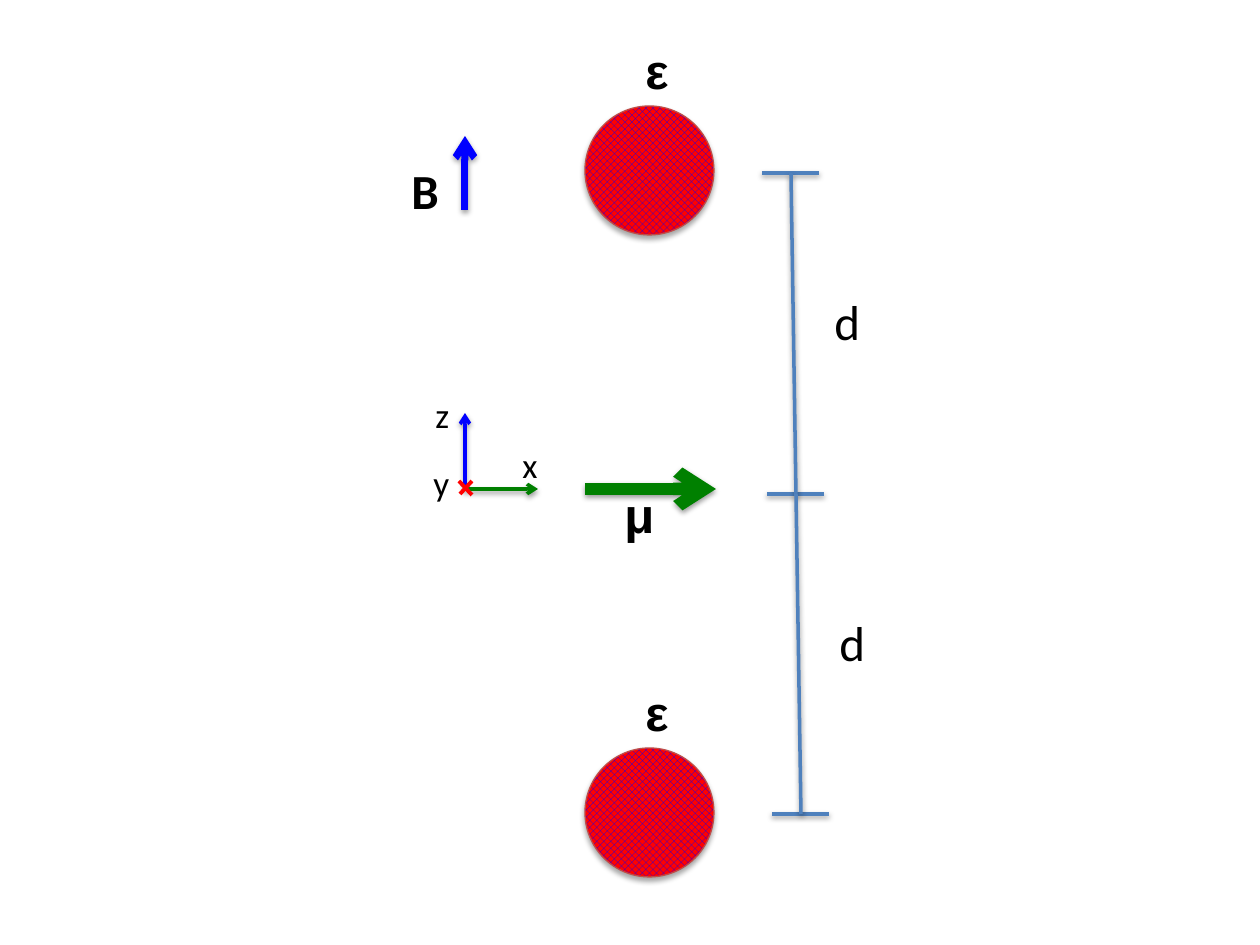
from dataclasses import dataclass
from itertools import pairwise

from lxml.etree import SubElement
from pptx import Presentation
from pptx.dml.color import RGBColor
from pptx.enum.dml import MSO_PATTERN
from pptx.enum.shapes import MSO_CONNECTOR, MSO_SHAPE
from pptx.enum.text import MSO_AUTO_SIZE
from pptx.oxml.ns import qn
from pptx.util import Emu, Pt

EMU_PER_PX = 914400 / 126


@dataclass(frozen=True)
class Theme:
    black: RGBColor = RGBColor(0x00, 0x00, 0x00)
    red: RGBColor = RGBColor(0xFF, 0x00, 0x00)
    green: RGBColor = RGBColor(0x00, 0x80, 0x00)
    blue: RGBColor = RGBColor(0x00, 0x00, 0xFF)
    steel: RGBColor = RGBColor(0x4F, 0x81, 0xBD)
    rim: RGBColor = RGBColor(0xBF, 0x4C, 0x48)
    latin: str = "Calibri"
    greek: str = "Arial"
    symbol_size: int = 28
    axis_size: int = 20


THEME = Theme()


def px(length):
    return Emu(round(length * EMU_PER_PX))


def add_shadow(shape, opacity, distance):
    """Replace the theme's effects by a soft shadow straight below."""
    properties = shape._element.spPr
    effects = properties.find(qn("a:effectLst"))
    if effects is None:
        effects = SubElement(properties, qn("a:effectLst"))
    if not opacity:
        return
    shadow = SubElement(effects, qn("a:outerShdw"), {
        "blurRad": str(Pt(3.1)), "dist": str(Pt(distance)),
        "dir": "5400000", "rotWithShape": "0"})
    color = SubElement(shadow, qn("a:srgbClr"), val=str(THEME.black))
    SubElement(color, qn("a:alpha"), val=str(opacity * 1000))


def add_line(page, start, end, color, width, arrow=False, opacity=38):
    line = page.shapes.add_connector(
        MSO_CONNECTOR.STRAIGHT, *map(px, (*start, *end)))
    line.line.color.rgb = color
    line.line.width = Pt(width)
    if arrow:
        SubElement(line.line._get_or_add_ln(), qn("a:tailEnd"), type="arrow")
    add_shadow(line, opacity, 1.6)


def add_label(page, text, bounds, wrap=False, **font):
    box = page.shapes.add_textbox(*map(px, bounds))
    frame = box.text_frame
    frame.word_wrap = wrap
    frame.auto_size = MSO_AUTO_SIZE.SHAPE_TO_FIT_TEXT
    span = frame.paragraphs[0].add_run()
    span.text = text
    span.font.color.rgb = THEME.black
    values = {"name": THEME.latin, "size": THEME.symbol_size, **font}
    values["size"] = Pt(values["size"])
    for name, value in values.items():
        setattr(span.font, name, value)


def add_greek(page, letter, left, top):
    add_label(page, letter, (left, top, 57, 72), wrap=True,
              name=THEME.greek, bold=True)


def add_sphere(page, left, top):
    """Draw a patterned sphere with its ε above."""
    add_greek(page, "ε", left + 48, top - 72)
    sphere = page.shapes.add_shape(
        MSO_SHAPE.OVAL, *map(px, (left, top, 129, 129)))
    sphere.fill.patterned()
    sphere.fill.pattern = MSO_PATTERN.SOLID_DIAMOND
    sphere.fill.fore_color.rgb = THEME.blue
    sphere.fill.back_color.rgb = THEME.red
    sphere.line.color.rgb = THEME.rim
    sphere.line.width = Pt(0.75)
    sphere.shadow.inherit = False
    add_shadow(sphere, 35, 1.8)


def add_distances(page, ticks):
    """Draw the ticks, and a span marked d between each neighbouring pair."""
    for left, y in ticks:
        add_line(page, (left, y), (left + 57, y), THEME.steel, 2)
    for (left, top), (next_left, bottom) in pairwise(ticks):
        add_line(page, (left + 29, top), (next_left + 29, bottom),
                 THEME.steel, 2)
        add_label(page, "d", (left + 60, top + 112, 52, 72))


def add_axes(page):
    add_line(page, (465, 488), (465, 413), THEME.blue, 2, arrow=True)
    add_line(page, (464, 489), (538, 489), THEME.green, 2, arrow=True)
    for start, end in (((460, 494), (472, 481)), ((459, 481), (472, 495))):
        add_line(page, start, end, THEME.red, 2.25, opacity=0)
    for name, left, top in (("x", 510, 437), ("y", 421, 455), ("z", 423, 387)):
        add_label(page, name, (left, top, 41, 55), size=THEME.axis_size)


def main():
    deck = Presentation()
    deck.slide_width, deck.slide_height = px(1260), px(945)
    page = deck.slides.add_slide(deck.slide_layouts[6])

    for top in (106, 748):
        add_sphere(page, 585, top)
    add_line(page, (585, 489), (716, 489), THEME.green, 7, arrow=True)
    add_greek(page, "μ", 612, 478)
    add_line(page, (465, 210), (465, 136), THEME.blue, 4, arrow=True)
    add_label(page, "B", (399, 154, 53, 72), bold=True)
    add_axes(page)
    add_distances(page, ((762, 173), (767, 494), (772, 814)))

    deck.save("out.pptx")


if __name__ == "__main__":
    main()
